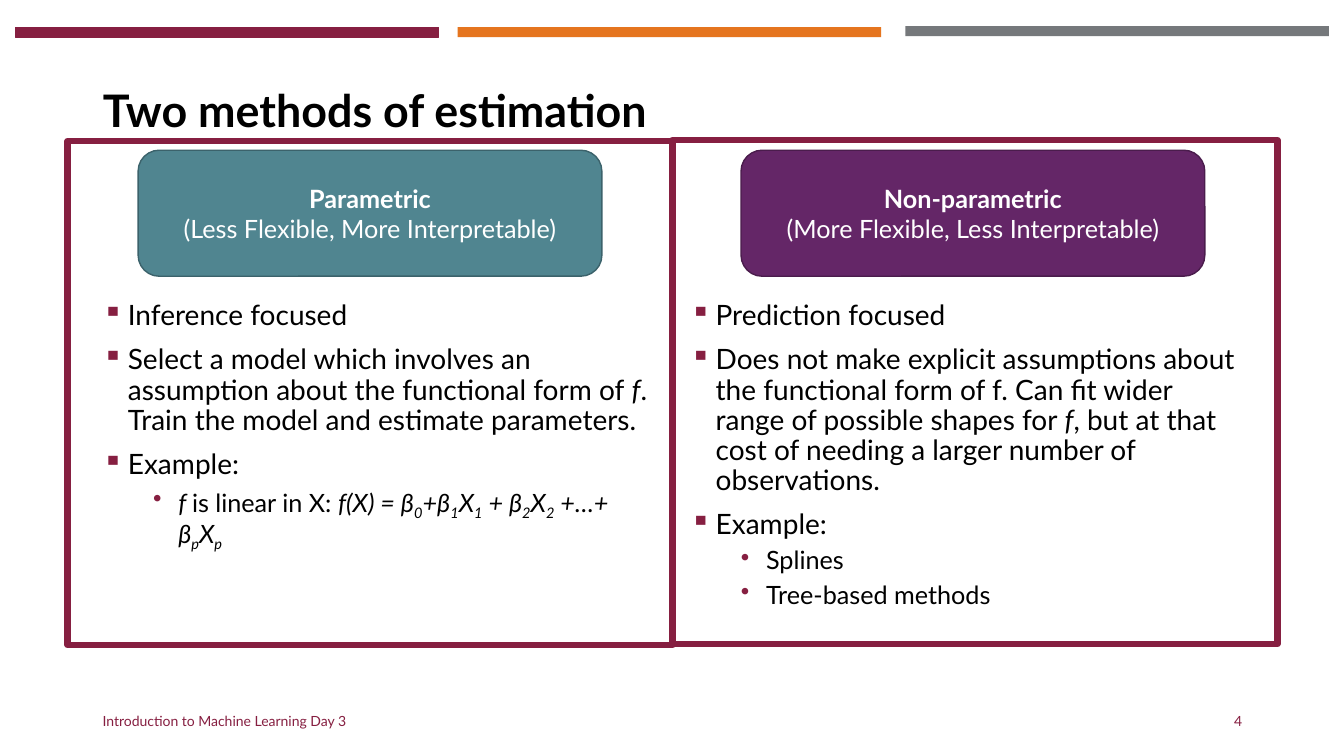
from pptx import Presentation
from pptx.dml.color import RGBColor
from pptx.enum.shapes import MSO_SHAPE
from pptx.enum.text import MSO_ANCHOR, PP_ALIGN
from pptx.oxml.ns import qn
from pptx.util import Inches, Pt
from lxml.etree import SubElement

MAROON = "861F41"
ORANGE = "E5751F"
GRAY = "75787B"
TEAL = "508590"
PURPLE = "642667"
BLACK = "000000"
WHITE = "FFFFFF"


def color(code):
    return RGBColor.from_string(code)


class Deck:
    font = "Lato"

    def __init__(self):
        self.prs = Presentation()
        self.prs.slide_width = Inches(13.33)
        self.prs.slide_height = Inches(7.5)
        self.slide = self.prs.slides.add_slide(self.prs.slide_layouts[5])

    def add_runs(self, para, runs, size, ink):
        for text, style in runs:
            run = para.add_run()
            run.text = text
            font = run.font
            font.name = self.font
            font.size = Pt(size)
            font.color.rgb = color(ink)
            font.bold = "b" in style
            font.italic = "i" in style
            if "s" in style:
                run._r.get_or_add_rPr().set("baseline", "-25000")

    def title(self, text, *box):
        holder = self.slide.shapes.title
        holder.left, holder.top, holder.width, holder.height = map(Inches, box)
        frame = holder.text_frame
        frame.word_wrap = True
        frame.vertical_anchor = MSO_ANCHOR.MIDDLE
        para = frame.paragraphs[0]
        para.alignment = PP_ALIGN.LEFT
        para.line_spacing = 0.9
        self.add_runs(para, [(text, "b")], 32, BLACK)

    def frame(self, *box):
        frame = self.slide.shapes.add_textbox(*map(Inches, box)).text_frame
        frame.word_wrap = True
        return frame

    def label(self, text, align, *box):
        frame = self.frame(*box)
        frame.vertical_anchor = MSO_ANCHOR.MIDDLE
        para = frame.paragraphs[0]
        para.alignment = align
        self.add_runs(para, [(text, "")], 10, MAROON)

    def bullets(self, items, *box):
        frame = self.frame(*box)
        for index, (level, runs) in enumerate(items):
            para = frame.add_paragraph() if index else frame.paragraphs[0]
            para.level = level
            para.line_spacing = 0.9
            if index:
                para.space_before = Pt(5 if level else 10)
            props = para._p.get_or_add_pPr()
            props.set("marL", str(Inches(0.75 if level else 0.25)))
            props.set("indent", str(Inches(-0.25)))
            tint = SubElement(props, qn("a:buClr"))
            SubElement(tint, qn("a:srgbClr")).set("val", MAROON)
            SubElement(props, qn("a:buChar")).set("char", "•" if level else "▪")
            self.add_runs(para, runs, 18 if level else 20, BLACK)

    def shape(self, kind, box, fill=None, line=None, width=1):
        shape = self.slide.shapes.add_shape(kind, *map(Inches, box))
        shape.shadow.inherit = False
        if fill:
            shape.fill.solid()
            shape.fill.fore_color.rgb = color(fill)
        else:
            shape.fill.background()
        if line:
            shape.line.color.rgb = color(line)
            shape.line.width = Pt(width)
        else:
            shape.line.fill.background()
        return shape

    def card(self, name, note, fill, line, *box):
        shape = self.shape(MSO_SHAPE.ROUNDED_RECTANGLE, box, fill, line)
        frame = shape.text_frame
        frame.word_wrap = True
        frame.vertical_anchor = MSO_ANCHOR.MIDDLE
        for para, run in ((frame.paragraphs[0], (name, "b")),
                          (frame.add_paragraph(), (note, ""))):
            para.alignment = PP_ALIGN.CENTER
            self.add_runs(para, [run], 18, WHITE)


def main():
    deck = Deck()
    for left, top, fill, line in ((0.15, 0.27, MAROON, MAROON),
                                  (8.98, 0.26, GRAY, None),
                                  (4.54, 0.27, ORANGE, None)):
        deck.shape(MSO_SHAPE.RECTANGLE, (left, top, 4.2, 0.1), fill, line, 0.75)

    deck.title("Two methods of estimation", 0.92, 0.4, 11.5, 1.45)

    model = [("f ", "i"), ("is linear in X: ", ""), ("f(X) = β", "i"), ("0", "is")]
    for lead, sub in (("+β", "1"), (" + β", "2"), (" +…+ β", "p")):
        model += [(lead, "i"), (sub, "is"), ("X", "i"), (sub, "is")]

    deck.bullets([
        (0, [("Inference focused", "")]),
        (0, [("Select a model which involves an assumption about "
              "the functional form of ", ""), ("f", "i"),
             (". Train the model and estimate parameters.", "")]),
        (0, [("Example:", "")]),
        (1, model),
    ], 0.92, 2.94, 5.67, 3.82)
    deck.bullets([
        (0, [("Prediction focused", "")]),
        (0, [("Does not make explicit assumptions about the functional form "
              "of f. Can fit wider range of possible shapes for ", ""),
             ("f", "i"),
             (", but at that cost of needing a larger number of "
              "observations.", "")]),
        (0, [("Example:", "")]),
        (1, [("Splines", "")]),
        (1, [("Tree-based methods", "")]),
    ], 6.75, 2.94, 5.67, 3.82)

    deck.label("Introduction to Machine Learning Day 3", PP_ALIGN.LEFT,
               0.92, 6.95, 4.5, 0.4)
    deck.label("4", PP_ALIGN.RIGHT, 9.42, 6.95, 3, 0.4)

    deck.card("Parametric", "(Less Flexible, More Interpretable)",
              TEAL, "3B626B", 1.37, 1.49, 4.6, 1.25)
    deck.card("Non-parametric", "(More Flexible, Less Interpretable)",
              PURPLE, "4A1C4C", 7.35, 1.49, 4.6, 1.25)
    for left, top in ((0.67, 1.4), (6.67, 1.39)):
        deck.shape(MSO_SHAPE.RECTANGLE, (left, top, 6, 5), None, MAROON, 4.5)

    deck.prs.save("out.pptx")


if __name__ == "__main__":
    main()
